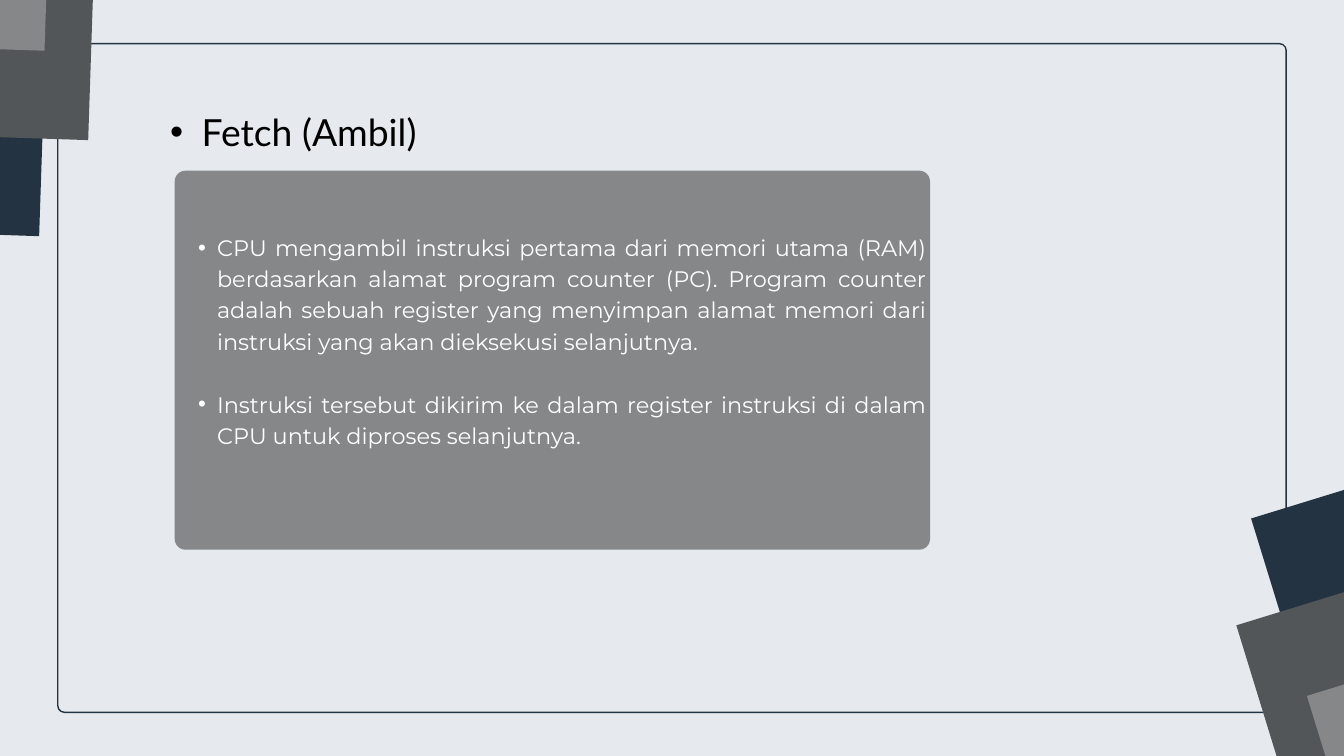
from collections import namedtuple

from lxml import etree
from pptx import Presentation
from pptx import util as u
from pptx.dml.color import RGBColor
from pptx.enum import shapes, text
from pptx.oxml import ns

Box = namedtuple("Box", "x y w h")

COL = ROW = u.Inches(1)
PAGE = Box(0, 0, 20, 11.25)
PALE = RGBColor(0xE6, 0xEA, 0xEF)
NAVY = RGBColor(0x24, 0x33, 0x42)
DARK = RGBColor(0x53, 0x56, 0x59)
GREY = RGBColor(0x85, 0x87, 0x89)
WHITE = RGBColor(0xFF, 0xFF, 0xFF)
BLACK = RGBColor(0, 0, 0)

STEPS = (
    "CPU mengambil instruksi pertama dari memori utama (RAM) berdasarkan alamat "
    "program counter (PC). Program counter adalah sebuah register yang menyimpan "
    "alamat memori dari instruksi yang akan dieksekusi selanjutnya.",
    "Instruksi tersebut dikirim ke dalam register instruksi di dalam CPU untuk "
    "diproses selanjutnya.",
)


def emu(box):
    """Turn a box in columns and rows into slide lengths."""
    return [int(n * unit) for n, unit in zip(box, (COL, ROW, COL, ROW))]


def add_block(s, box, fill, radius=0, line=None, rotation=0):
    """Add a plain or rounded rectangle."""
    kind = shapes.MSO_SHAPE.ROUNDED_RECTANGLE if radius else shapes.MSO_SHAPE.RECTANGLE
    sp = s.shapes.add_shape(kind, *emu(box))
    sp.shadow.inherit = False
    sp.rotation = rotation
    sp.fill.solid()
    sp.fill.fore_color.rgb = fill
    if radius:
        sp.adjustments[0] = radius / min(box.w, box.h)
    if line is None:
        sp.line.fill.background()
    else:
        sp.line.color.rgb = line
        sp.line.width = u.Pt(1.5)


def write_bullet(p, words, *, font, size, color, spacing, margin, hanging, align, before=0):
    """Write one bulleted paragraph with its format."""
    p.alignment = align
    p.line_spacing = u.Pt(spacing)
    p.space_before = u.Pt(before)
    p.space_after = u.Pt(0)
    r = p.add_run()
    r.text = words
    r.font.name = font
    r.font.size = u.Pt(size)
    r.font.color.rgb = color
    pPr = p._p.get_or_add_pPr()
    pPr.set("marL", str(u.Inches(margin)))
    pPr.set("indent", str(-u.Inches(hanging)))
    etree.SubElement(pPr, ns.qn("a:buFont"), typeface="Arial")
    etree.SubElement(pPr, ns.qn("a:buChar"), char="•")


def set_frame(tf, anchor, inset=0, bottom=0):
    """Set wrapping, anchor and insets of a text frame."""
    tf.word_wrap = True
    tf.auto_size = text.MSO_AUTO_SIZE.NONE
    tf.vertical_anchor = anchor
    tf.margin_left = tf.margin_right = tf.margin_top = u.Inches(inset)
    tf.margin_bottom = u.Inches(inset + bottom)


def add_squares(s, box, offsets, rotation):
    """Stack three tilted squares, each offset from the given box."""
    for (dx, dy), fill in zip(offsets, (NAVY, DARK, GREY)):
        add_block(s, Box(box.x + dx, box.y + dy, box.w, box.h), fill, rotation=rotation)


def add_card(s, box):
    """Add the grey card with the explanation."""
    rise, leading = 0.16, 33.6
    add_block(s, box, GREY, radius=0.16)
    area = Box(box.x, box.y - rise, box.w, box.h + rise)
    tf = s.shapes.add_textbox(*emu(area)).text_frame
    set_frame(tf, text.MSO_ANCHOR.MIDDLE, inset=0.06, bottom=leading / 72)
    for i, step in enumerate(STEPS):
        p = tf.add_paragraph() if i else tf.paragraphs[0]
        write_bullet(p, step, font="Montserrat", size=24, color=WHITE, spacing=leading,
                     margin=0.57, hanging=0.28, align=text.PP_ALIGN.JUSTIFY,
                     before=leading if i else 0)


def add_title(s, box):
    """Place the title in front and write it."""
    sp = s.shapes.title
    sp.left, sp.top, sp.width, sp.height = emu(box)
    set_frame(sp.text_frame, text.MSO_ANCHOR.TOP)
    write_bullet(sp.text_frame.paragraphs[0], "Fetch (Ambil)", font="Lato", size=40,
                 color=BLACK, spacing=36.8, margin=0.94, hanging=0.47,
                 align=text.PP_ALIGN.LEFT)
    sp.element.getparent().append(sp.element)


def main():
    """Build the slide and save it."""
    prs = Presentation()
    prs.slide_width, prs.slide_height = emu(PAGE)[2:]
    s = prs.slides.add_slide(prs.slide_layouts[5])
    s.background.fill.solid()
    s.background.fill.fore_color.rgb = PALE
    add_block(s, Box(0.86, 0.65, 18.28, 9.95), PALE, radius=0.1, line=NAVY)
    add_squares(s, Box(-5.4, -2.67, 6.07, 6.1),
                ((0, 0), (0.73, -1.43), (0.08, -2.76)), 271.9)
    add_squares(s, Box(19.39, 6.67, 6.07, 6.1),
                ((0, 0), (-0.22, 1.59), (0.83, 2.64)), 72.9)
    add_card(s, Box(2.6, 2.54, 11.24, 5.64))
    add_title(s, Box(2.06, 1.78, 7.51, 0.76))
    prs.save("out.pptx")


if __name__ == "__main__":
    main()
